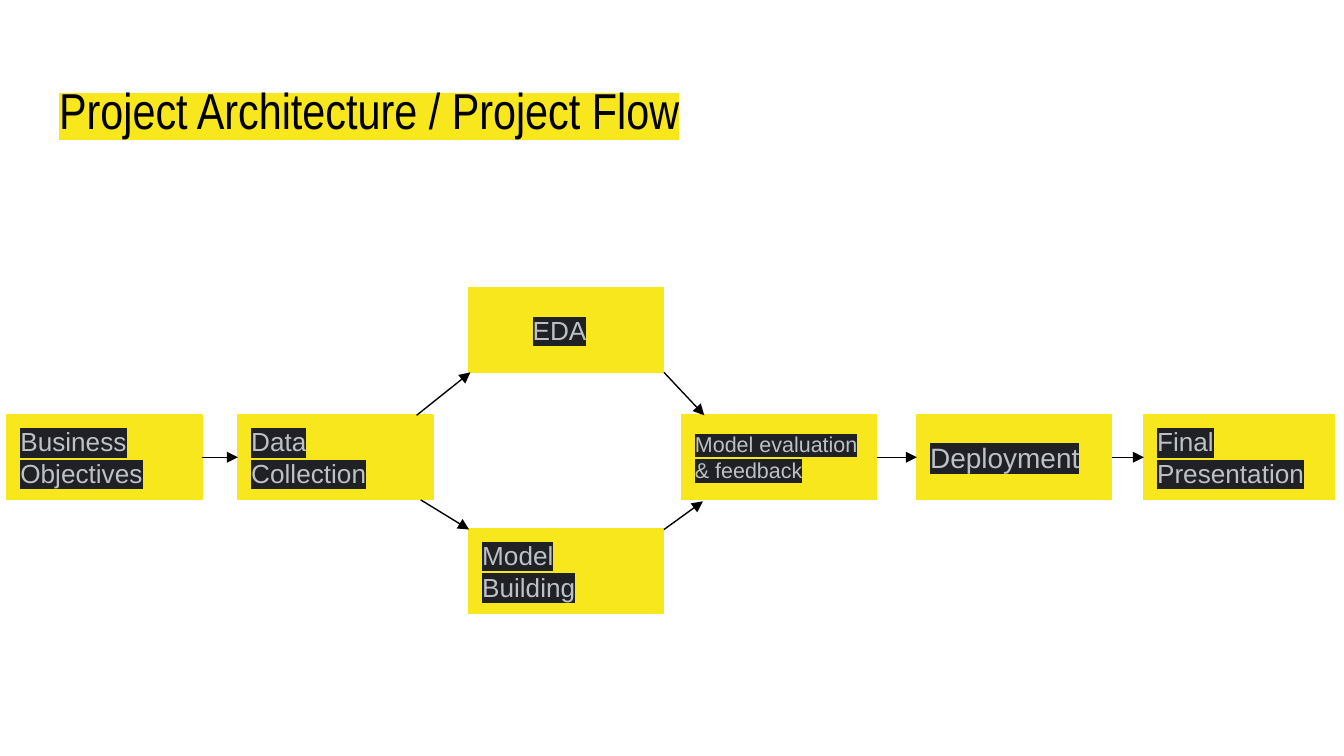
from lxml.etree import SubElement
from pptx import Presentation
from pptx.dml.color import RGBColor
from pptx.enum.shapes import MSO_CONNECTOR, MSO_SHAPE
from pptx.enum.text import MSO_ANCHOR, MSO_AUTO_SIZE, PP_ALIGN
from pptx.oxml import parse_xml
from pptx.oxml.ns import nsdecls, qn
from pptx.util import Pt

YELLOW, BLACK, GREY, CHARCOAL = "F8E71C", "000000", "BDC1C6", "202124"
LEFT, RIGHT = 1, 3


def rgb(value):
    """Turn a hex string into a colour."""
    return RGBColor.from_string(value)


class FlowSlide:
    """Hold the flow chart's style and its current slide."""

    step_width, step_height = 104.4, 45.36
    inset, line_width = 7.2, 0.75

    def __init__(self, presentation):
        """Add a title-only slide."""
        self.slide = presentation.slides.add_slide(presentation.slide_layouts[5])

    def label(self, frame, wording, font_name, size, color, highlight, anchor):
        """Set highlighted, left-aligned text in a frame."""
        frame.text = wording
        frame.word_wrap = True
        frame.auto_size = MSO_AUTO_SIZE.NONE
        frame.vertical_anchor = anchor
        frame.margin_left = frame.margin_right = Pt(self.inset)
        frame.margin_top = frame.margin_bottom = Pt(self.inset)
        paragraph = frame.paragraphs[0]
        paragraph.alignment = PP_ALIGN.LEFT
        run = paragraph.runs[0]
        run.font.name, run.font.size = font_name, Pt(size)
        run.font.color.rgb = rgb(color)
        run._r.rPr.find(qn("a:solidFill")).addnext(parse_xml(
            f'<a:highlight {nsdecls("a")}><a:srgbClr val="{highlight}"/></a:highlight>'))

    def title(self, wording, left, top, width, height):
        """Place and format the title."""
        heading = self.slide.shapes.title
        heading.left, heading.top = Pt(left), Pt(top)
        heading.width, heading.height = Pt(width), Pt(height)
        self.label(heading.text_frame, wording, "Arial Narrow", 27, BLACK, YELLOW,
                   MSO_ANCHOR.TOP)

    def step(self, wording, left, top, size=14, width=step_width, indent=0):
        """Add one step of the flow."""
        step = self.slide.shapes.add_shape(
            MSO_SHAPE.RECTANGLE, Pt(left), Pt(top), Pt(width), Pt(self.step_height))
        step.shadow.inherit = False
        step.fill.solid()
        step.fill.fore_color.rgb = step.line.color.rgb = rgb(YELLOW)
        step.line.width = Pt(self.line_width)
        self.label(step.text_frame, wording, "Arial", size, GREY, CHARCOAL,
                   MSO_ANCHOR.MIDDLE)
        if indent:
            step.text_frame.paragraphs[0]._p.get_or_add_pPr().set("marL", str(Pt(indent)))
        return step

    def arrow(self, start=(0, 0), end=(0, 0)):
        """Add an arrow between two points."""
        arrow = self.slide.shapes.add_connector(
            MSO_CONNECTOR.STRAIGHT, *(Pt(value) for value in (*start, *end)))
        arrow.line.color.rgb = rgb(BLACK)
        arrow.line.width = Pt(self.line_width)
        SubElement(arrow.line._get_or_add_ln(), qn("a:tailEnd"), type="triangle")
        SubElement(arrow._element.spPr, qn("a:effectLst"))
        return arrow

    def join(self, source, target):
        """Add an arrow from one step's right side to the next one's left."""
        arrow = self.arrow()
        arrow.begin_connect(source, RIGHT)
        arrow.end_connect(target, LEFT)


def main():
    """Build and save the project flow slide."""
    presentation = Presentation()
    presentation.slide_width, presentation.slide_height = Pt(720), Pt(405)
    flow = FlowSlide(presentation)
    flow.title("Project Architecture / Project Flow", 24.5, 35.3, 671, 45.4)

    main_row, branch_left = 222.3, 251.2
    final = flow.step("Final Presentation", 612.8, main_row, width=102.2)
    deployment = flow.step("Deployment", 491.2, main_row, size=15)
    evaluation = flow.step("Model evaluation & feedback", 365.2, main_row, size=11.5)
    objectives = flow.step("Business Objectives", 3.8, main_row)
    collection = flow.step("Data Collection", 127.5, main_row)
    flow.step("EDA", branch_left, 154.1, indent=27)
    flow.step("Model Building", branch_left, 283.2)

    for source, target in ((objectives, collection), (evaluation, deployment),
                           (deployment, final)):
        flow.join(source, target)
    for start, end in (((223.2, 222.5), (252, 199.5)), ((225.4, 267.8), (251.3, 283.7)),
                       ((355.7, 199.5), (377.3, 222.5)), ((355.7, 283.7), (376.6, 268.6))):
        flow.arrow(start, end)

    presentation.save("out.pptx")


if __name__ == "__main__":
    main()
